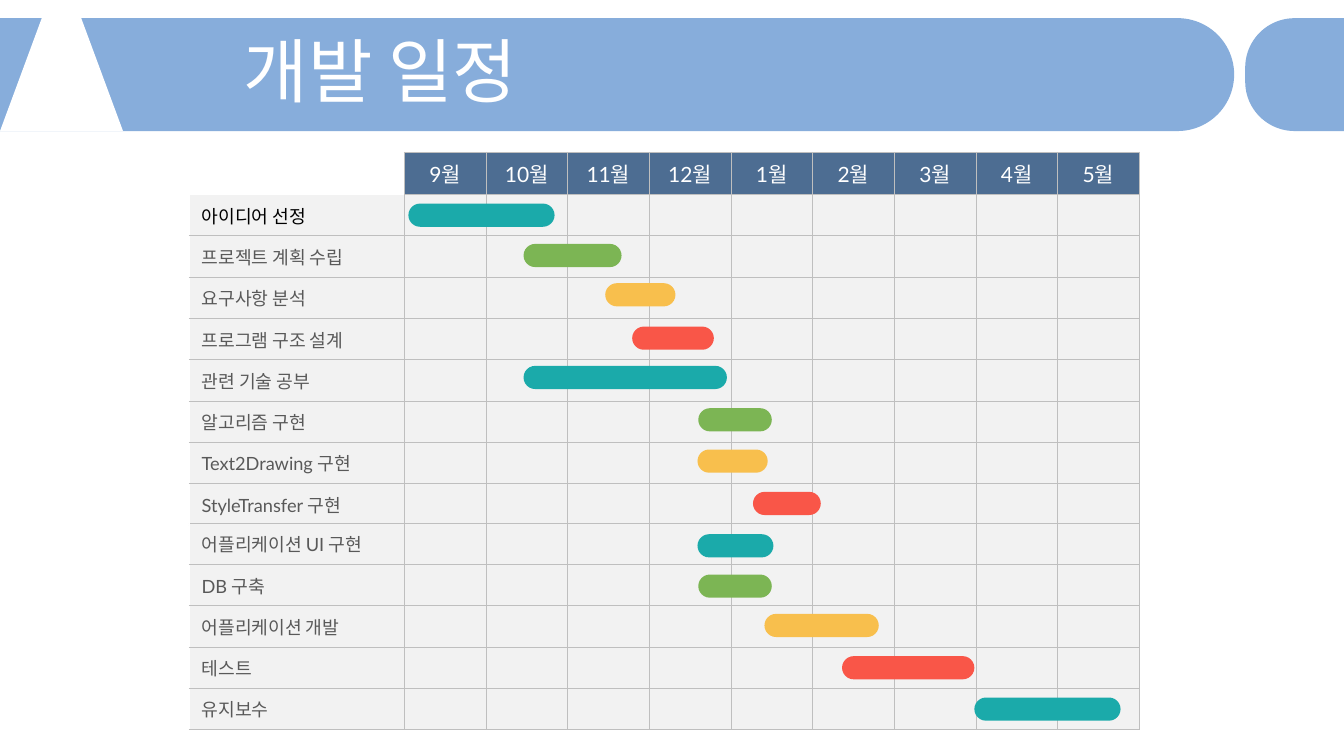
import pptx
import pptx.util
import pptx.dml.color
import pptx.enum.shapes
import pptx.enum.text
import pptx.oxml.ns
import lxml.etree

SHAPE = pptx.enum.shapes.MSO_SHAPE
ALIGN = pptx.enum.text.PP_ALIGN
MIDDLE = pptx.enum.text.MSO_ANCHOR.MIDDLE
Inches = pptx.util.Inches

SLIDE_WIDTH, SLIDE_HEIGHT = 13.33, 7.5
LABEL_WIDTH, MONTH_WIDTH = 2.13, 0.81
HEADER_HEIGHT, ROW_HEIGHT, BAR_HEIGHT = 0.42, 0.41, 0.23
BAR_COLOURS = ["1BAAAA", "7CB554", "F8BF4D", "F95648"]
MONTHS = ["9월", "10월", "11월", "12월", "1월", "2월", "3월", "4월", "5월"]

# Task, start and length in months, vertical nudge in inches
DESIGN_TASKS = [
    ("아이디어 선정", 0.05, 1.79, 0),
    ("프로젝트 계획 수립", 1.46, 1.2, -0.01),
    ("요구사항 분석", 2.46, 0.86, -0.03),
    ("프로그램 구조 설계", 2.79, 1, -0.01),
    ("관련 기술 공부", 1.46, 2.49, -0.03),
    ("알고리즘 구현", 3.6, 0.9, -0.02),
    ("Text2Drawing 구현", 3.59, 0.86, -0.02),
    ("StyleTransfer 구현", 4.27, 0.83, -0.01),
]
BUILD_TASKS = [
    ("어플리케이션 UI 구현", 3.59, 0.93, 0.02),
    ("DB 구축", 3.6, 0.9, 0.01),
    ("어플리케이션 개발", 4.41, 1.4, -0.01),
    ("테스트", 5.36, 1.62, 0),
    ("유지보수", 6.98, 1.79, 0),
]


def colour(value):
    return pptx.dml.color.RGBColor.from_string(value)


def set_format(target, values):
    for name, value in values.items():
        setattr(target, name, value)


def add_filled(page, kind, box, fill, adjustments=(), rotation=0):
    shape = page.shapes.add_shape(kind, *map(Inches, box))
    set_format(shape, {"rotation": rotation})
    shape.shadow.inherit = False
    shape.fill.solid()
    shape.fill.fore_color.rgb = colour(fill)
    shape.line.fill.background()
    for index, value in enumerate(adjustments):
        shape.adjustments[index] = value


def write(frame, text, size, ink, font="Lato", east_font="Noto Sans CJK KR", **layout):
    para = frame.paragraphs[0]
    set_format(para, layout)
    span = para.add_run()
    span.text = text
    set_format(span.font, {"size": pptx.util.Pt(size), "name": font})
    span.font.color.rgb = colour(ink)
    east = lxml.etree.SubElement(span.font._element, pptx.oxml.ns.qn("a:ea"))
    east.set("typeface", east_font)


def add_half_pill(page, box, fill, turn):
    """Bar with one round end: turn 90 rounds the right, -90 the left."""
    left, top, width, height = box
    shift = (width - height) / 2
    upright = (left + shift, top - shift, height, width)
    add_filled(page, SHAPE.ROUND_2_SAME_RECTANGLE, upright, fill, (0.5, 0), turn)


def add_header(page, box):
    left, top, width, height = box
    band_width, gap = 12.24, 0.11
    tail_left = left + band_width + gap
    add_half_pill(page, (left, top, band_width, height), "87ADDB", 90)
    add_half_pill(page, (tail_left, top, width - tail_left, height), "87ADDB", -90)
    # Plain emblem
    add_filled(page, SHAPE.TRAPEZOID, (left, top, 1.22, height), "FFFFFF", (0.37,))
    # Title
    title_box = (left + 2.32, top + 0.19, 10.69, 0.79)
    title = page.shapes.add_textbox(*map(Inches, title_box))
    set_format(title.text_frame, {"word_wrap": True, "vertical_anchor": MIDDLE})
    write(title.text_frame, "개발 일정", 50, "FFFFFF", "Noto Sans CJK KR",
          line_spacing=0.8, space_before=pptx.util.Pt(10))


def set_borders(cell, sides):
    properties = cell._tc.get_or_add_tcPr()
    for index, side in enumerate(sides):
        line = lxml.etree.Element(pptx.oxml.ns.qn("a:ln" + side), w="6350")
        fill = lxml.etree.SubElement(line, pptx.oxml.ns.qn("a:solidFill"))
        lxml.etree.SubElement(fill, pptx.oxml.ns.qn("a:srgbClr"), val="BFBFBF")
        properties.insert(index, line)


def fill_cell(cell, text, fill, size, ink, align):
    if fill:
        cell.fill.solid()
        cell.fill.fore_color.rgb = colour(fill)
    else:
        cell.fill.background()
    if text:
        set_format(cell, {
            "vertical_anchor": MIDDLE,
            "margin_left": Inches(0.12), "margin_right": Inches(0.12),
            "margin_top": Inches(0.06), "margin_bottom": Inches(0.06),
        })
        write(cell.text_frame, text, size, ink, alignment=align)


def add_schedule(page, left, top, tasks, has_header):
    """Grid of months with one row per task; returns the top of the first task."""
    labels = [""] * has_header + [task[0] for task in tasks]
    width = LABEL_WIDTH + MONTH_WIDTH * len(MONTHS)
    height = HEADER_HEIGHT * has_header + ROW_HEIGHT * len(tasks)
    frame = page.shapes.add_table(len(labels), len(MONTHS) + 1,
                                  *map(Inches, (left, top, width, height)))
    table = frame.table
    set_format(table, {"first_row": False, "horz_banding": False})
    for index, column in enumerate(table.columns):
        column.width = Inches(MONTH_WIDTH if index else LABEL_WIDTH)
    for row_index, label in enumerate(labels):
        is_header = has_header and row_index == 0
        table.rows[row_index].height = Inches(HEADER_HEIGHT if is_header else ROW_HEIGHT)
        for column_index, month in enumerate([""] + MONTHS):
            cell = table.cell(row_index, column_index)
            if is_header:
                fill = "4D6D92" if column_index else None
                fill_cell(cell, month, fill, 15, "FFFFFF", ALIGN.CENTER)
            else:
                ink = "000000" if label == DESIGN_TASKS[0][0] else "595959"
                text = "" if column_index else label
                fill_cell(cell, text, "F2F2F2", 13, ink, ALIGN.LEFT)
            if column_index:
                set_borders(cell, "LRTB")
            else:
                set_borders(cell, "R" if is_header else "RTB")
    return top + HEADER_HEIGHT * has_header


def add_bars(page, left, top, tasks, first_colour):
    for row, (_, start, length, nudge) in enumerate(tasks):
        box = (left + LABEL_WIDTH + start * MONTH_WIDTH,
               top + (row + 0.5) * ROW_HEIGHT - BAR_HEIGHT / 2 + nudge,
               length * MONTH_WIDTH, BAR_HEIGHT)
        fill = BAR_COLOURS[(first_colour + row) % len(BAR_COLOURS)]
        add_filled(page, SHAPE.ROUNDED_RECTANGLE, box, fill, (0.5,))


def main():
    deck = pptx.Presentation()
    set_format(deck, {"slide_width": Inches(SLIDE_WIDTH),
                      "slide_height": Inches(SLIDE_HEIGHT)})
    page = deck.slides.add_slide(deck.slide_layouts[6])
    add_header(page, (0, 0.18, SLIDE_WIDTH, 1.12))
    # Two stacked tables, then the bars above them
    left = 1.88
    design_top = add_schedule(page, left, 1.51, DESIGN_TASKS, True)
    build_top = add_schedule(page, left, 5.19, BUILD_TASKS, False)
    add_bars(page, left, design_top, DESIGN_TASKS, 0)
    add_bars(page, left, build_top, BUILD_TASKS, len(DESIGN_TASKS))
    deck.save("out.pptx")


if __name__ == "__main__":
    main()
